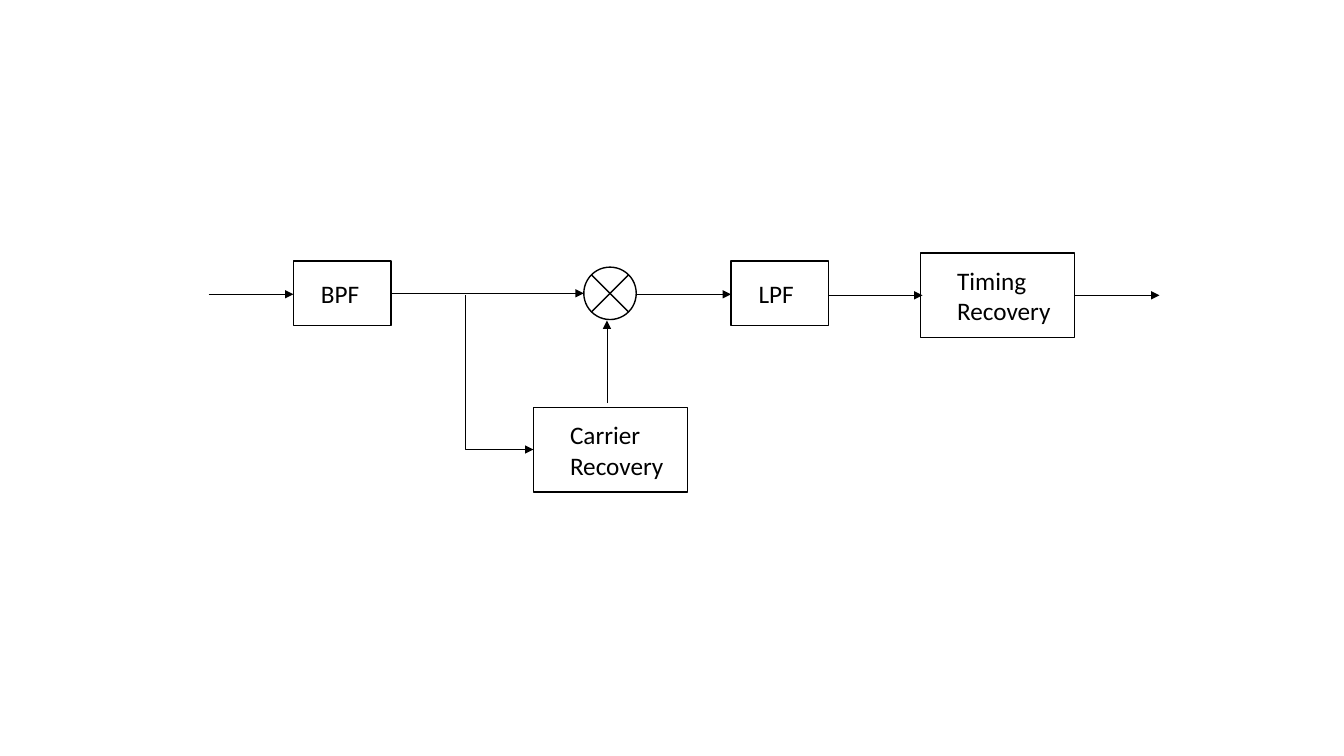
import pptx
import pptx.util
import pptx.dml.color
import pptx.enum.shapes
import pptx.enum.text
import pptx.oxml.ns
import lxml.etree

Inches = pptx.util.Inches
Pt = pptx.util.Pt
SHAPE = pptx.enum.shapes.MSO_SHAPE
CONNECTOR = pptx.enum.shapes.MSO_CONNECTOR
qn = pptx.oxml.ns.qn

BLACK = pptx.dml.color.RGBColor(0x00, 0x00, 0x00)
FONT = "Calibri"

# Block size, label offset and label size, in inches
FILTER = (0.97, 0.64, 0.175, 0.12, 0.62, 0.4)
RECOVERY = (1.53, 0.84, 0.265, 0.075, 1.15, 0.71)


def outline(shapes, kind, x, y, w, h):
    s = shapes.add_shape(kind, Inches(x), Inches(y), Inches(w), Inches(h))
    s.shadow.inherit = False
    s.fill.background()
    s.line.color.rgb = BLACK
    s.line.width = Pt(1)
    return s


def label(shapes, text, x, y, w, h):
    s = shapes.add_textbox(Inches(x), Inches(y), Inches(w), Inches(h))
    tf = s.text_frame
    tf.word_wrap = True
    tf.auto_size = pptx.enum.text.MSO_AUTO_SIZE.SHAPE_TO_FIT_TEXT
    r = tf.paragraphs[0].add_run()
    r.text = text
    r.font.name = FONT
    r.font.size = Pt(18)
    r.font.color.rgb = BLACK


def block(sp, text, x, y, size):
    w, h, dx, dy, label_w, label_h = size
    group = sp.add_group_shape()
    outline(group.shapes, SHAPE.RECTANGLE, x, y, w, h)
    label(group.shapes, text, x + dx, y + dy, label_w, label_h)


def arrow(sp, x1, y1, x2, y2, kind=CONNECTOR.STRAIGHT):
    s = sp.add_connector(kind, Inches(x1), Inches(y1), Inches(x2), Inches(y2))
    s.line.color.rgb = BLACK
    s.line.width = Pt(0.5)
    ln = s.line._get_or_add_ln()
    lxml.etree.SubElement(ln, qn("a:tailEnd"), type="triangle")
    lxml.etree.SubElement(s._element.spPr, qn("a:effectLst"))
    return s


def down_then_right(sp, x1, y1, x2, y2):
    # A one-bend connector is stored turned by 270 degrees about its centre
    cx, cy = (x1 + x2) / 2, (y1 + y2) / 2
    half_w, half_h = (y2 - y1) / 2, (x2 - x1) / 2
    s = arrow(sp, cx + half_w, cy - half_h, cx - half_w, cy + half_h,
              CONNECTOR.ELBOW)
    spPr = s._element.spPr
    spPr.find(qn("a:xfrm")).set("rot", str(270 * 60000))
    spPr.find(qn("a:prstGeom")).set("prst", "bentConnector2")


def main():
    prs = pptx.Presentation()
    prs.slide_width = Inches(13.33)
    prs.slide_height = Inches(7.5)
    sp = prs.slides.add_slide(prs.slide_layouts[6]).shapes

    # Blocks and mixer
    block(sp, "BPF", 2.91, 2.59, FILTER)
    block(sp, "LPF", 7.25, 2.59, FILTER)
    block(sp, "Carrier Recovery", 5.29, 4.04, RECOVERY)
    block(sp, "Timing Recovery", 9.13, 2.51, RECOVERY)
    outline(sp, SHAPE.FLOWCHART_SUMMING_JUNCTION, 5.79, 2.65, 0.52, 0.52)

    # Signal path from input to output
    for x1, x2, y in [(2.07, 2.91, 2.92), (3.88, 5.79, 2.91),
                      (6.31, 7.25, 2.92), (8.22, 9.15, 2.93),
                      (10.66, 11.5, 2.93)]:
        arrow(sp, x1, y, x2, y)

    # Carrier branch
    down_then_right(sp, 4.61, 2.93, 5.29, 4.46)
    arrow(sp, 6.02, 4, 6.02, 3.18)

    prs.save("out.pptx")


if __name__ == "__main__":
    main()
